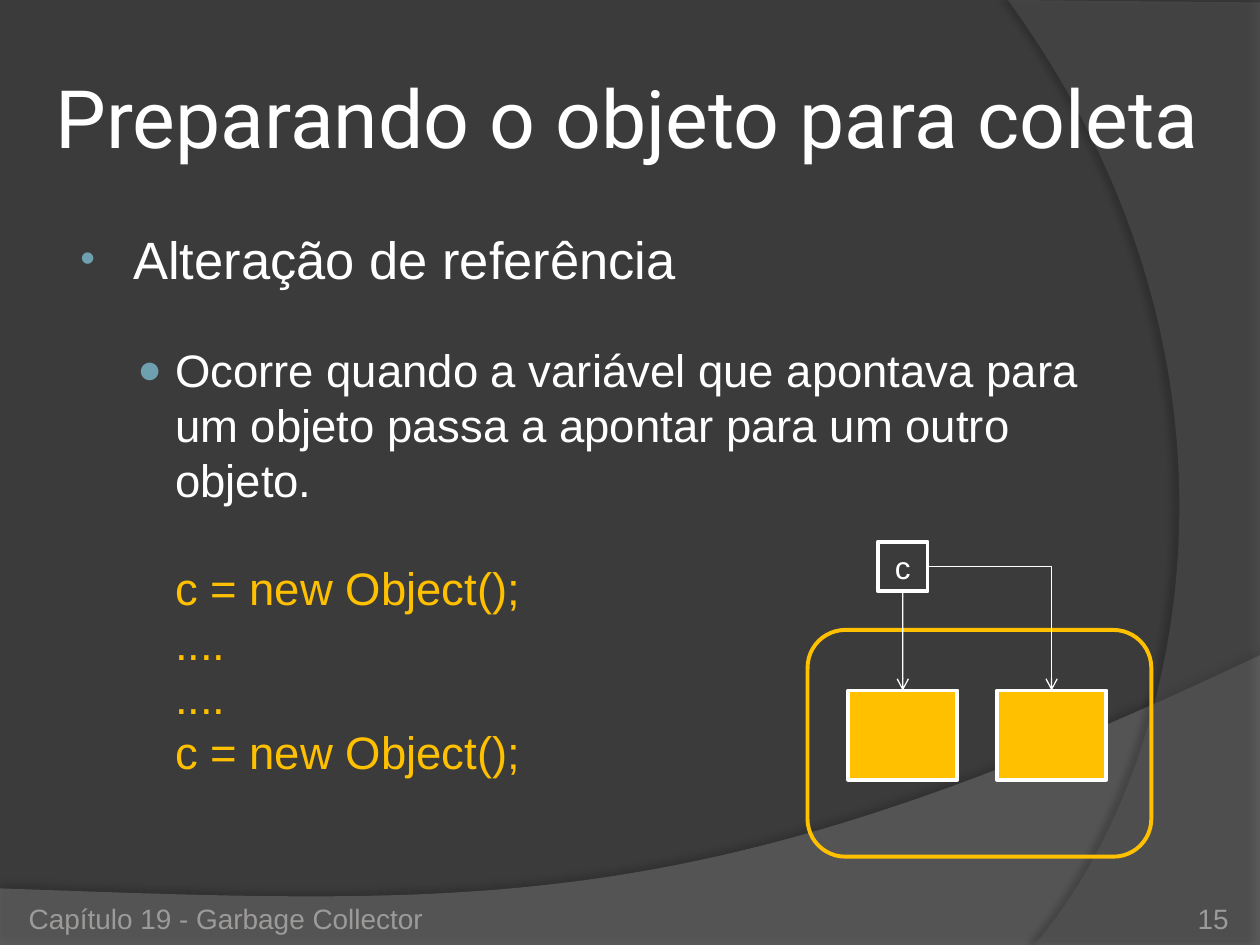
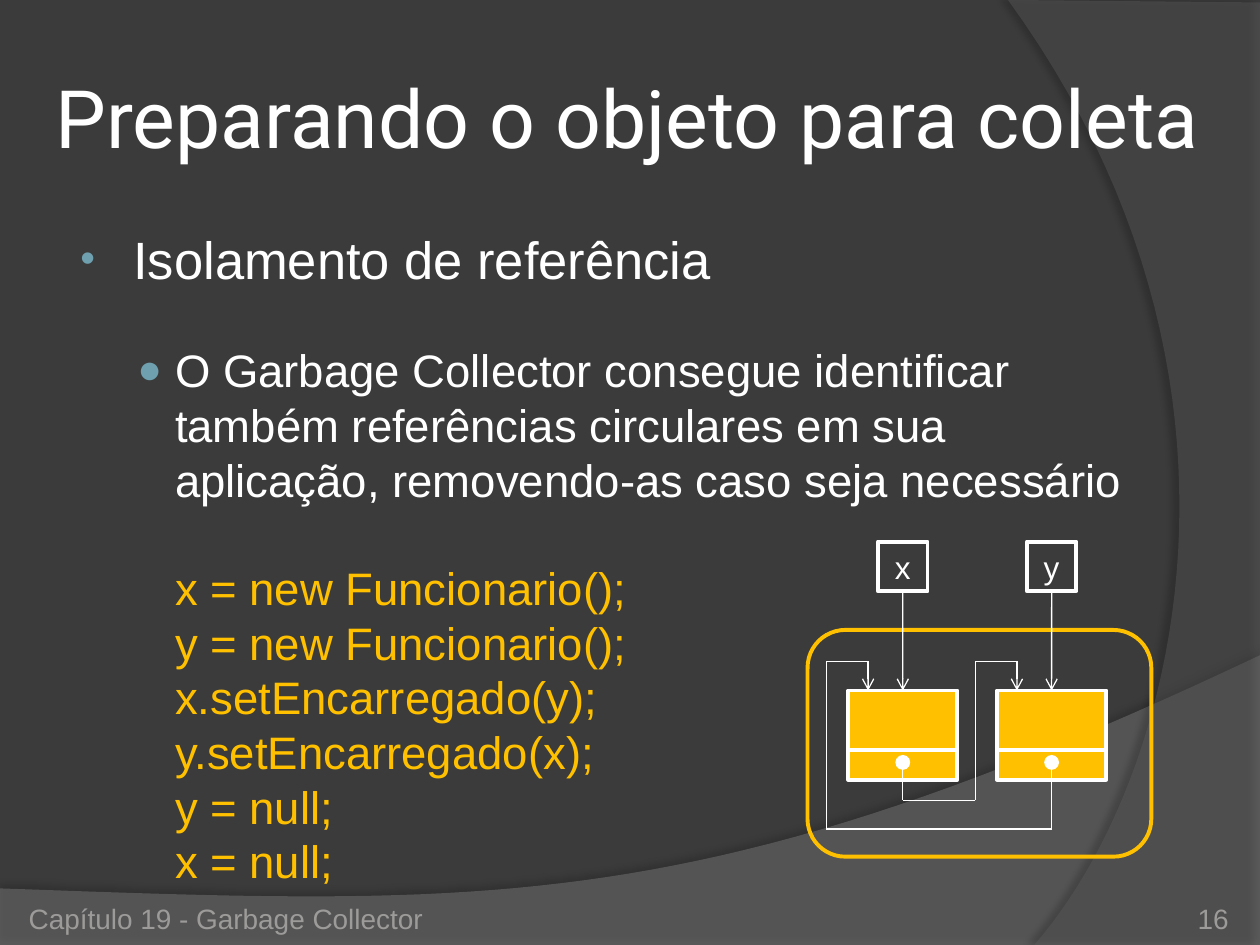
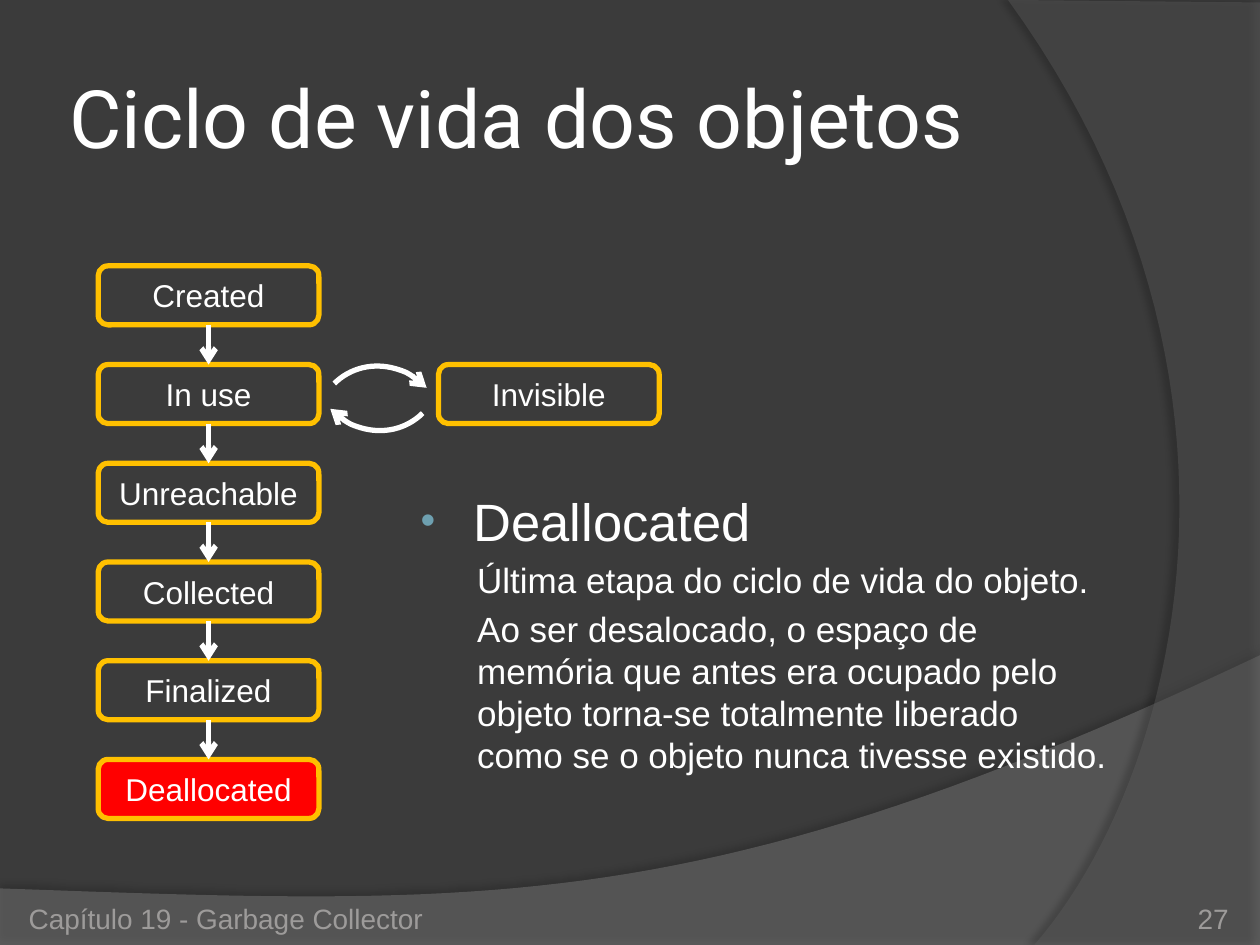
from dataclasses import dataclass
from itertools import pairwise

from lxml import etree
from pptx import Presentation
from pptx.dml.color import RGBColor
from pptx.enum.shapes import MSO_CONNECTOR, MSO_SHAPE
from pptx.enum.text import MSO_ANCHOR, PP_ALIGN
from pptx.oxml.ns import qn
from pptx.util import Cm, Pt

RECT, ROUND, OVAL, ARC = (MSO_SHAPE.RECTANGLE, MSO_SHAPE.ROUNDED_RECTANGLE,
                          MSO_SHAPE.OVAL, MSO_SHAPE.ARC)
STRAIGHT, ELBOW = MSO_CONNECTOR.STRAIGHT, MSO_CONNECTOR.ELBOW
TOP, MIDDLE, BOTTOM = MSO_ANCHOR.TOP, MSO_ANCHOR.MIDDLE, MSO_ANCHOR.BOTTOM
LEFT, CENTER, RIGHT = PP_ALIGN.LEFT, PP_ALIGN.CENTER, PP_ALIGN.RIGHT
SITE_TOP, SITE_BOTTOM, SITE_RIGHT = 0, 2, 3


@dataclass(frozen=True)
class Theme:
    back: str = "3B3B3B"
    wave: str = "7F7F7F"
    side: str = "5E5E5E"
    shadow: str = "000000"
    text: str = "FFFFFF"
    accent: str = "FFC000"
    active: str = "FF0000"
    bullet: str = "6EA0B0"
    muted: str = "9D9B9A"
    title_font: str = "Roboto"
    body_font: str = "Arial"
    title_size: int = 46
    topic_size: int = 30
    point_size: int = 26
    note_size: int = 20
    label_size: int = 18
    footer_size: int = 16
    thin: float = 0.75
    medium: float = 2.25
    thick: float = 3


T = Theme()

# ---- Content ----
FOOTER = "Capítulo 19 - Garbage Collector"
PREPARING = "Preparando o objeto para coleta"

REFERENCE_CHANGE = {
    "title": PREPARING, "title_box": (0.99, 0.76, 23.55, 3.18), "number": "15",
    "body_box": (1.27, 4.45, 20.75, 12.57),
    "body": [
        ("topic", "Alteração de referência"),
        ("point", "Ocorre quando a variável que apontava para um objeto "
                  "passa a apontar para um outro objeto."),
        ("code_first", "c = new Object();"),
        ("code", "...."),
        ("code", "...."),
        ("code", "c = new Object();"),
    ],
}
REFERENCE_ISOLATION = {
    "title": PREPARING, "title_box": (0.99, 0.76, 23.55, 3.18), "number": "16",
    "body_box": (1.27, 4.45, 22.23, 12.57),
    "body": [
        ("topic", "Isolamento de referência"),
        ("point", "O Garbage Collector consegue identificar também referências "
                  "circulares em sua aplicação, removendo-as caso seja necessário"),
        ("code_first", "x = new Funcionario();"),
        ("code", "y = new Funcionario();"),
        ("code", "x.setEncarregado(y);"),
        ("code", "y.setEncarregado(x);"),
        ("code", "y = null;"),
        ("code", "x = null;"),
    ],
}
LIFE_CYCLE = {
    "title": "Ciclo de vida dos objetos", "title_box": (1.27, 0.76, 20.75, 3.18),
    "number": "27", "body_box": (8.13, 9.73, 14.48, 7.29),
    "body": [
        ("topic", "Deallocated"),
        ("note", "Última etapa do ciclo de vida do objeto."),
        ("note", "Ao ser desalocado, o espaço de memória que antes era ocupado pelo "
                 "objeto torna-se totalmente liberado como se o objeto nunca tivesse "
                 "existido."),
    ],
}
STATES = ["Created", "In use", "Unreachable", "Collected", "Finalized", "Deallocated"]
SIDE_STATE, SIDE_ROW = "Invisible", 1

# size, colour, space before (pt), left margin and indent (cm), bullet and its percent
PARAGRAPHS = {
    "topic": (T.topic_size, T.text, 0, 1.17, -1.07, ("•", 80)),
    "point": (T.point_size, T.text, 30, 2.01, -0.76, ("●", 90)),
    "code_first": (T.point_size, T.accent, 31, 2.01, 0, None),
    "code": (T.point_size, T.accent, 0, 2.01, 0, None),
    "note": (T.note_size, T.text, 4, 1.24, 0, None),
}

# ---- Geometry in cm ----
W, H = 25.4, 19.05
CELL_X, CELL_STEP = 18.2, 3.0          # centre of the first object, distance to the next
CELL_W, CELL_H, CELL_Y = 2.2, 1.8, 13.92
VAR_SIZE, VAR_Y = 1.0, 10.92
HEAP_BOX = (16.28, 12.7, 6.93, 4.57)
FIELD_H, DOT = 0.6, 0.3
STATE_X, STATE_Y, STATE_W, STATE_H, STATE_STEP = 1.98, 5.36, 4.45, 1.19, 1.99
SIDE_X = 8.84


def rgb(value):
    return RGBColor.from_string(value)


def sub(parent, tag, **attrs):
    return etree.SubElement(parent, qn(tag), {k: str(v) for k, v in attrs.items()})


def add_arrow_end(shape):
    sub(shape.line._get_or_add_ln(), "a:tailEnd", type="arrow")


def style_shape(shape, fill=None, line=None, width=T.medium):
    shape.shadow.inherit = False
    if fill:
        shape.fill.solid()
        shape.fill.fore_color.rgb = rgb(fill)
    else:
        shape.fill.background()
    if line:
        shape.line.color.rgb = rgb(line)
        shape.line.width = Pt(width)
    else:
        shape.line.fill.background()


def write(p, text, size, color, font=T.body_font):
    r = p.add_run()
    r.text = text
    for name, value in {"size": Pt(size), "name": font}.items():
        setattr(r.font, name, value)
    r.font.color.rgb = rgb(color)


def add_box(shapes, kind, box, text="", **style):
    shape = shapes.add_shape(kind, *map(Cm, box))
    style_shape(shape, **style)
    if text:
        tf = shape.text_frame
        tf.vertical_anchor = MIDDLE
        tf.paragraphs[0].alignment = CENTER
        write(tf.paragraphs[0], text, T.label_size, T.text)
    return shape


def add_frame(s, box, anchor, inset=None):
    tf = s.shapes.add_textbox(*map(Cm, box)).text_frame
    tf.word_wrap = True
    tf.vertical_anchor = anchor
    if inset is not None:
        for side in ("left", "top", "right", "bottom"):
            setattr(tf, f"margin_{side}", Cm(inset))
    return tf


def add_line(shapes, start, end, width=T.thin, arrow=False, kind=STRAIGHT):
    line = shapes.add_connector(kind, *map(Cm, (*start, *end)))
    line.line.color.rgb = rgb(T.text)
    line.line.width = Pt(width)
    sub(line._element.spPr, "a:effectLst")
    if arrow:
        add_arrow_end(line)
    return line


def join(s, a, a_site, b, b_site, **style):
    line = add_line(s.shapes, (0, 0), (0, 0), arrow=True, **style)
    line.begin_connect(a, a_site)
    line.end_connect(b, b_site)
    return line


def curve(p0, p1, p2, p3, steps=48):
    """Points of a cubic Bézier curve, without its start."""
    for i in range(1, steps + 1):
        t = i / steps
        u = 1 - t
        yield tuple(u**3 * a + 3 * u * u * t * b + 3 * u * t * t * c + t**3 * d
                    for a, b, c, d in zip(p0, p1, p2, p3))


def add_band(s, points, color, opacity, shade, distance, angle):
    """Translucent outline with a soft shadow."""
    builder = s.shapes.build_freeform(*map(Cm, points[0]))
    builder.add_line_segments([(Cm(x), Cm(y)) for x, y in points[1:]], close=True)
    band = builder.convert_to_shape()
    style_shape(band, fill=color)
    sp_pr = band._element.spPr
    sub(sp_pr.find(".//" + qn("a:srgbClr")), "a:alpha", val=opacity * 1000)
    shadow = sub(sp_pr.find(qn("a:effectLst")), "a:outerShdw", blurRad=Pt(4),
                 dist=Pt(distance), dir=angle * 60000, algn="ctr", rotWithShape=0)
    sub(sub(shadow, "a:srgbClr", val=T.shadow), "a:alpha", val=shade * 1000)


def add_backdrop(s):
    wave = [(0, 17.91), (0, H), (W, H), (W, 13.21),
            *curve((W, 13.21), (14.2, 18.52), (9.93, 18.26), (0, 17.91))]
    side = [(W, 0.05), (W, H), (20.85, H),
            *curve((20.85, H), (23.75, 15.72), (25.86, 7.62), (20.32, 0))]
    add_band(s, wave, T.wave, 45, 35, 3.5, 270)
    add_band(s, side, T.side, 40, 45, 4, 180)


def add_body(s, box, body):
    tf = add_frame(s, box, TOP)
    for i, (kind, text) in enumerate(body):
        size, color, before, margin, indent, bullet = PARAGRAPHS[kind]
        p = tf.add_paragraph() if i else tf.paragraphs[0]
        p.space_before = Pt(before)
        p_pr = p._p.get_or_add_pPr()
        p_pr.set("marL", str(Cm(margin)))
        p_pr.set("indent", str(Cm(indent)))
        if bullet:
            char, percent = bullet
            sub(sub(p_pr, "a:buClr"), "a:srgbClr", val=T.bullet)
            sub(p_pr, "a:buSzPct", val=percent * 1000)
            sub(p_pr, "a:buFont", typeface=T.body_font)
            sub(p_pr, "a:buChar", char=char)
        write(p, text, size, color)


def add_slide(prs, content):
    s = prs.slides.add_slide(prs.slide_layouts[6])
    add_backdrop(s)
    tf = add_frame(s, content["title_box"], MIDDLE, 0.13)
    write(tf.paragraphs[0], content["title"], T.title_size, T.text, T.title_font)
    add_body(s, content["body_box"], content["body"])
    for text, left, width, align in ((FOOTER, 0.58, 8.05, LEFT),
                                     (content["number"], 22.66, 2.11, RIGHT)):
        p = add_frame(s, (left, 17.83, width, 1.02), BOTTOM, 0).paragraphs[0]
        p.alignment = align
        write(p, text, T.footer_size, T.muted)
    return s


def cell_center(i):
    return CELL_X + i * CELL_STEP


def add_heap(s, names, cell_h):
    """Variables above a heap of two objects; returns both lists of boxes."""
    variables = [add_box(s.shapes, RECT,
                         (cell_center(i) - VAR_SIZE / 2, VAR_Y, VAR_SIZE, VAR_SIZE),
                         name, line=T.text) for i, name in enumerate(names)]
    add_box(s.shapes, ROUND, HEAP_BOX, line=T.accent)
    cells = [add_box(s.shapes, RECT,
                     (cell_center(i) - CELL_W / 2, CELL_Y, CELL_W, cell_h),
                     fill=T.accent, line=T.text) for i in range(2)]
    for variable, cell in zip(variables, cells):
        join(s, variable, SITE_BOTTOM, cell, SITE_TOP)
    return variables, cells


def add_field_link(s, source, target, low_y):
    """Line from a field of one object round to the top of the other."""
    group = s.shapes.add_group_shape().shapes
    x, end_x = cell_center(source), cell_center(target) - 0.7
    turn_x, high_y, dot_y = end_x - 0.84, CELL_Y - 0.59, 15.37
    route = [(x, dot_y), (x, low_y), (turn_x, low_y), (turn_x, high_y),
             (end_x, high_y), (end_x, CELL_Y)]
    for start, end in pairwise(route):
        add_line(group, start, end, arrow=end == route[-1])
    add_box(group, OVAL, (x - DOT / 2, dot_y - DOT / 2, DOT, DOT), fill=T.text)


def draw_reference_change(s):
    (variable,), cells = add_heap(s, ["c"], CELL_H)
    bent = join(s, variable, SITE_RIGHT, cells[1], SITE_TOP, kind=ELBOW)
    bent._element.spPr.find(qn("a:prstGeom")).set("prst", "bentConnector2")


def draw_reference_isolation(s):
    field_y = CELL_Y + CELL_H - FIELD_H
    add_heap(s, ["x", "y"], CELL_H - FIELD_H)
    for i in range(2):
        add_box(s.shapes, RECT, (cell_center(i) - CELL_W / 2, field_y, CELL_W, FIELD_H),
                fill=T.accent, line=T.text)
    add_field_link(s, 0, 1, 16.13)
    add_field_link(s, 1, 0, 16.71)


def draw_life_cycle(s):
    def add_state(name, x, row):
        fill = T.active if name == STATES[-1] else None
        return add_box(s.shapes, ROUND, (x, STATE_Y + row * STATE_STEP, STATE_W, STATE_H),
                       name, fill=fill, line=T.accent, width=T.thick)

    states = [add_state(name, STATE_X, row) for row, name in enumerate(STATES)]
    add_state(SIDE_STATE, SIDE_X, SIDE_ROW)
    for above, below in pairwise(states):
        join(s, above, SITE_BOTTOM, below, SITE_TOP, width=T.thick)
    for left, top, angle in ((6.43, 7.34, 315), (6.32, 6.05, 135)):
        arc = add_box(s.shapes, ARC, (left, top, 2.51, 2.67), line=T.text, width=T.thick)
        arc.adjustments[1] = 1.19
        arc.rotation = angle
        add_arrow_end(arc)


def main():
    prs = Presentation()
    prs.slide_width, prs.slide_height = Cm(W), Cm(H)
    back = prs.slide_master.background.fill
    back.solid()
    back.fore_color.rgb = rgb(T.back)
    for content, draw in ((REFERENCE_CHANGE, draw_reference_change),
                          (REFERENCE_ISOLATION, draw_reference_isolation),
                          (LIFE_CYCLE, draw_life_cycle)):
        draw(add_slide(prs, content))
    prs.save("out.pptx")


if __name__ == "__main__":
    main()
